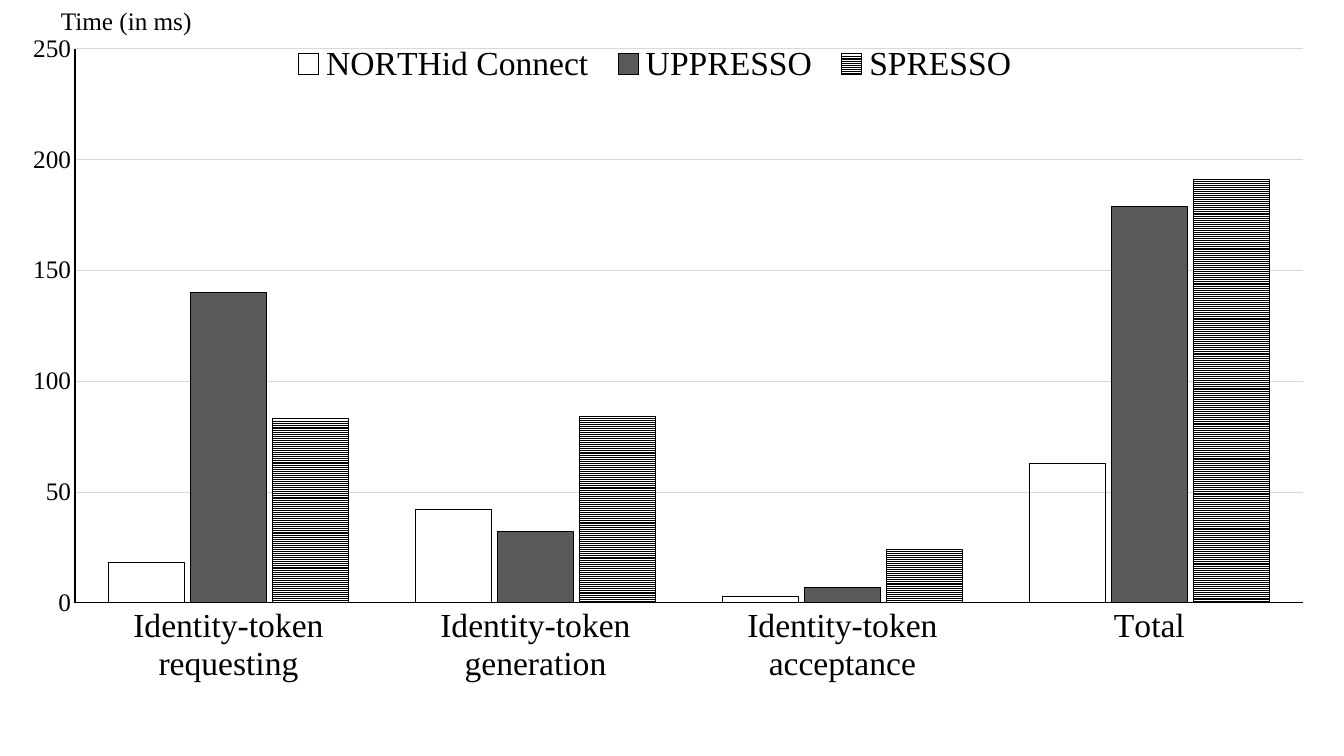
from dataclasses import dataclass
from typing import Optional

from lxml.etree import SubElement
from pptx import Presentation
from pptx.chart.data import CategoryChartData
from pptx.dml.color import RGBColor
from pptx.enum.chart import XL_CHART_TYPE as Kind
from pptx.enum.chart import XL_LEGEND_POSITION as Side
from pptx.enum.chart import XL_TICK_MARK as Tick
from pptx.enum.dml import MSO_PATTERN as Pattern
from pptx.enum.text import MSO_AUTO_SIZE as Fit
from pptx.oxml.ns import qn
from pptx.util import Emu, Pt

SCALE = 914400 / 100.8
FONT = "Times New Roman"
BLACK, WHITE, GREY, PALE = "000000", "FFFFFF", "595959", "D9D9D9"


@dataclass
class Box:
    """A place on the slide, in pixels."""
    left: int
    top: int
    width: int
    height: int

    def emu(self) -> list[Emu]:
        """Return the four lengths in EMU."""
        return [px(n) for n in (self.left, self.top, self.width, self.height)]


@dataclass
class Method:
    """One measured sign-on method and the look of its bars."""
    name: str
    times: tuple[int, ...]
    fill: Optional[str] = None
    lined: bool = False


FRAME = Box(0, 21, 1331, 735)
PLOT = Box(75, 49, 1228, 554)
LEGEND = Box(280, 44, 750, 40)
STEPS = ["Identity-token requesting", "Identity-token generation",
         "Identity-token acceptance", "Total"]
METHODS = [
    Method("NORTHid Connect", (18, 42, 3, 63)),
    Method("UPPRESSO", (140, 32, 7, 179), fill=GREY),
    Method("SPRESSO", (83, 84, 24, 191), lined=True),
]


def px(n: int) -> Emu:
    """Turn pixels into EMU."""
    return Emu(round(n * SCALE))


def color(code: str) -> RGBColor:
    """Turn a hex string into a colour."""
    return RGBColor.from_string(code)


def style(font, size: int, code: str = BLACK) -> None:
    """Set face, size and colour of a font."""
    font.name, font.size, font.bold = FONT, Pt(size), False
    font.color.rgb = color(code)


def stroke(line, code: str = BLACK) -> None:
    """Give a line its colour and width."""
    line.color.rgb = color(code)
    line.width = Pt(0.75)


def text(slide, words: str, box: Box, *, size: int, code: str = BLACK) -> None:
    """Add a text box that grows with its unwrapped text."""
    frame = slide.shapes.add_textbox(*box.emu()).text_frame
    frame.word_wrap = False
    frame.auto_size = Fit.SHAPE_TO_FIT_TEXT
    run = frame.paragraphs[0].add_run()
    run.text = words
    style(run.font, size, code)


def place(part, box: Box, spot: int, inner: bool = False) -> None:
    """Fix a chart part at a box, as shares of the chart frame."""
    for old in part.findall(qn("c:layout")):
        part.remove(old)
    layout = SubElement(part, qn("c:layout"))
    part.insert(spot, layout)
    manual = SubElement(layout, qn("c:manualLayout"))
    marks = {"layoutTarget": "inner"} if inner else {}
    marks |= {
        "xMode": "edge", "yMode": "edge",
        "x": (box.left - FRAME.left) / FRAME.width,
        "y": (box.top - FRAME.top) / FRAME.height,
        "w": box.width / FRAME.width,
        "h": box.height / FRAME.height,
    }
    for tag, val in marks.items():
        SubElement(manual, qn(f"c:{tag}")).set("val", str(val))


def paint(bar, method: Method) -> None:
    """Fill and outline the bars of one method."""
    fill = bar.format.fill
    if method.lined:
        fill.patterned()
        fill.pattern = Pattern.LIGHT_HORIZONTAL
        fill.fore_color.rgb = color(BLACK)
        fill.back_color.rgb = color(WHITE)
    elif method.fill:
        fill.solid()
        fill.fore_color.rgb = color(method.fill)
    else:
        fill.background()
    stroke(bar.format.line)
    bar.invert_if_negative = False


def draw(slide) -> None:
    """Add the column chart of times per step."""
    data = CategoryChartData()
    data.categories = STEPS
    for method in METHODS:
        data.add_series(method.name, method.times)
    chart = slide.shapes.add_chart(
        Kind.COLUMN_CLUSTERED, *FRAME.emu(), data).chart
    style(chart.font, 10)
    chart.has_title = False

    plot = chart.plots[0]
    plot.gap_width, plot.overlap, plot.vary_by_categories = 90, -9, False
    for bar, method in zip(plot.series, METHODS):
        paint(bar, method)

    for axis, size in ((chart.category_axis, 24), (chart.value_axis, 18)):
        axis.major_tick_mark = axis.minor_tick_mark = Tick.NONE
        style(axis.tick_labels.font, size)
        stroke(axis.format.line)
    scale = chart.value_axis
    scale.minimum_scale, scale.maximum_scale, scale.major_unit = 0, 250, 50
    stroke(scale.major_gridlines.format.line, PALE)

    chart.has_legend = True
    legend = chart.legend
    legend.position = Side.BOTTOM
    legend.include_in_layout = False
    style(legend.font, 24)
    place(legend._element, LEGEND, 1)
    place(chart._chartSpace.chart.plotArea, PLOT, 0, inner=True)


def main() -> None:
    """Build and save the slide."""
    deck = Presentation()
    deck.slide_width, deck.slide_height = px(1344), px(756)
    slide = deck.slides.add_slide(deck.slide_layouts[6])
    draw(slide)
    text(slide, "Time (in ms)", Box(51, 0, 152, 40), size=18)
    deck.save("out.pptx")


main()
